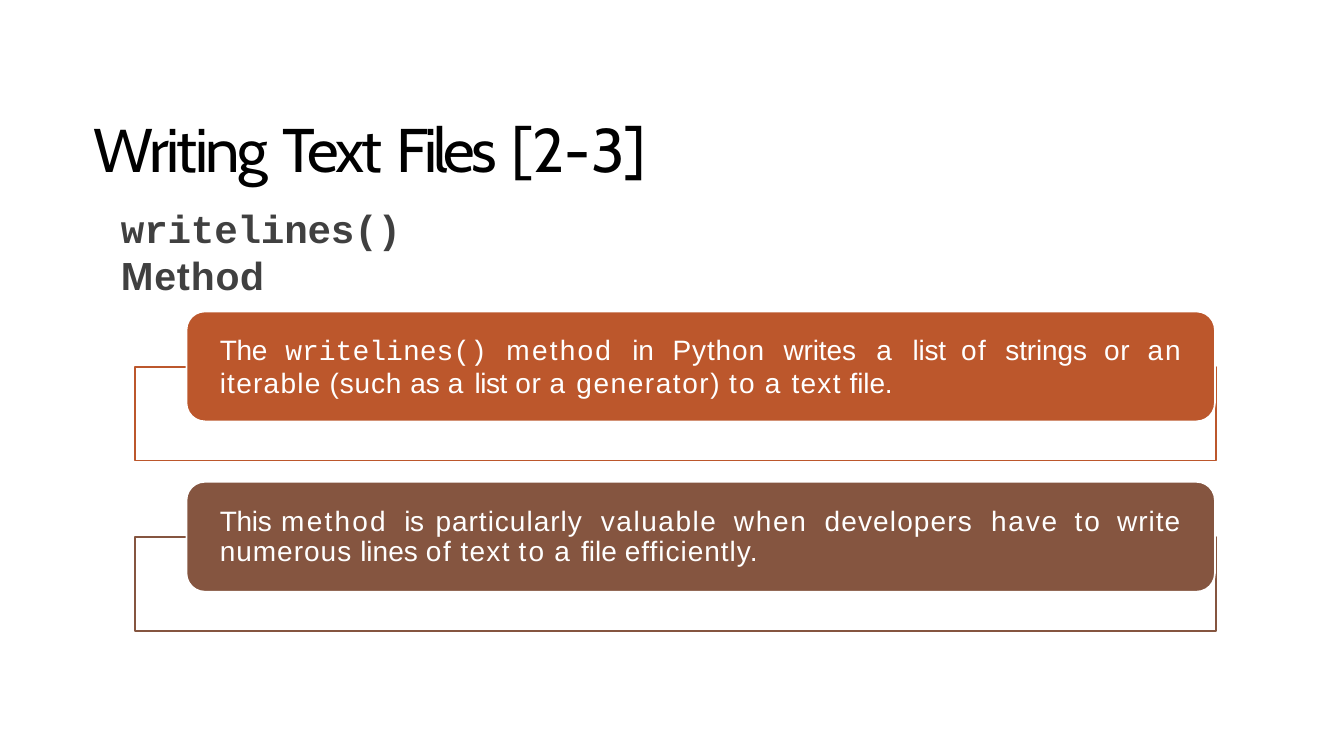
from lxml.etree import SubElement
from pptx import Presentation
from pptx.dml.color import RGBColor
from pptx.enum.shapes import MSO_SHAPE as Shape
from pptx.enum.text import MSO_ANCHOR as Anchor, MSO_AUTO_SIZE as AutoSize, PP_ALIGN as Align
from pptx.oxml.ns import qn
from pptx.util import Inches, Pt

# Each run is (text, letter spacing in points[, font])
TITLE = [("Writing ", -1.8), ("Text ", -2.3), ("Files ", -2.9), ("[2-", 0.7), ("3]", -0.2)]
SUBTITLE = [("writelines() ", -0.1, "Courier New"), ("Method", 0.6)]
CARDS = [
    dict(
        color="BC572C", text_top=3.28, text_height=0.69, inset=0.03, line=23.5, before=2.1,
        tabs=[0.65, 4.07, 4.47, 5.57, 6.49, 6.85, 7.33, 7.77, 8.75, 9.18],
        runs=[("The\t", -0.2), ("writelines() ", 0, "Courier New"), ("method\t", 1.6),
              ("in\t", -0.2), ("Python\t", 0.6), ("writes\t", -0.1), ("a\t", 1.9),
              ("list\t", -0.2), ("of\t", 1.1), ("strings\t", -0.1), ("or\t", 0.3),
              ("an ", 1.4), ("iterable ", 0.9), ("(such ", 0.6), ("as ", 0), ("a ", 2.4),
              ("list ", -0.3), ("or ", 0.6), ("a ", 2.4), ("generator) ", 1.1),
              ("to ", 1.6), ("a ", 2.4), ("text ", 0.9), ("file.", -0.1)],
    ),
    dict(
        color="855540", text_top=4.97, text_height=0.67, inset=0.05, line=22, before=3.4,
        tabs=[0.61, 1.83, 2.14, 3.78, 5.1, 6, 7.65, 8.48, 8.9],
        runs=[("This\t", -0.2), ("method\t", 1.6), ("is\t", -0.2), ("particularly\t", 0.7),
              ("valuable\t", 1.1), ("when\t", 1.2), ("developers\t", 0.8),
              ("have\tto\t", 1.3), ("write numerous ", 0.7), ("lines ", 0), ("of ", 1.3),
              ("text ", 0.9), ("to ", 1.6), ("a ", 2.4), ("file ", 0), ("efficiently.", 0.7)],
    ),
]
CARD_TOP, CARD_PITCH, FRAME_DROP = 3.09, 1.69, 0.55


def rgb(color):
    return RGBColor.from_string(color)


def place(shape, left, top, width, height):
    shape.left, shape.top = Inches(left), Inches(top)
    shape.width, shape.height = Inches(width), Inches(height)


def write(shape, runs, size, color, font="Arial", bold=False, inset=0, before=1,
          line=None, tabs=(), anchor=Anchor.TOP, align=Align.LEFT, space_spacing=-0.2):
    """Fill a shape with one paragraph; the space that ends a run gets space_spacing."""
    frame = shape.text_frame
    frame.word_wrap = True
    frame.auto_size = AutoSize.SHAPE_TO_FIT_TEXT
    frame.vertical_anchor = anchor
    frame.margin_left = frame.margin_right = frame.margin_bottom = 0
    frame.margin_top = Inches(inset)
    paragraph = frame.paragraphs[0]
    paragraph.alignment = align
    paragraph.space_before = Pt(before)
    if line:
        paragraph.line_spacing = Pt(line)
    properties = paragraph._p.get_or_add_pPr()
    properties.set("marL", str(Inches(0.01)))
    if tabs:
        tab_list = SubElement(properties, qn("a:tabLst"))
        for position in tabs:
            SubElement(tab_list, qn("a:tab"), pos=str(Inches(position)), algn="l")
    for text, spacing, *own_font in runs:
        word = text.rstrip(" ")
        for part, part_spacing in ((word, spacing), (text[len(word):], space_spacing)):
            if not part:
                continue
            run = paragraph.add_run()
            run.text = part
            run.font.name = own_font[0] if own_font else font
            run.font.size = Pt(size)
            run.font.bold = bold
            run.font.color.rgb = rgb(color)
            run._r.get_or_add_rPr().set("spc", str(round(part_spacing * 100)))


def add_box(slide, kind, bounds, line, fill=None):
    shape = slide.shapes.add_shape(kind, *map(Inches, bounds))
    shape.shadow.inherit = False
    if fill:
        shape.fill.solid()
        shape.fill.fore_color.rgb = rgb(fill)
    else:
        shape.fill.background()
    shape.line.color.rgb = rgb(line)
    shape.line.width = Pt(1.25)


def add_text(slide, bounds, runs, **text_format):
    write(slide.shapes.add_textbox(*map(Inches, bounds)), runs, **text_format)


def main():
    presentation = Presentation()
    presentation.slide_width, presentation.slide_height = Inches(13.33), Inches(7.5)
    slide = presentation.slides.add_slide(presentation.slide_layouts[5])

    title = slide.shapes.title
    place(title, 0.92, 0.4, 11.5, 1.45)
    write(title, TITLE, 44, "000000", font="Cabin", inset=0.69, anchor=Anchor.MIDDLE,
          space_spacing=0.3)
    add_text(slide, (1.19, 2.02, 4.38, 0.5), SUBTITLE, size=28, color="404040",
             bold=True, inset=0.01)

    for index, card in enumerate(CARDS):
        top = CARD_TOP + index * CARD_PITCH
        add_box(slide, Shape.RECTANGLE, (1.34, top + FRAME_DROP, 10.72, 0.93), card["color"])
        add_box(slide, Shape.ROUNDED_RECTANGLE, (1.85, top, 10.2, 1.09), "FFFFFF", card["color"])
        add_text(slide, (2.17, card["text_top"], 9.56, card["text_height"]), card["runs"],
                 size=20, color="FFFFFF", inset=card["inset"], before=card["before"],
                 line=card["line"], tabs=card["tabs"], align=Align.JUSTIFY)

    presentation.save("out.pptx")


if __name__ == "__main__":
    main()
